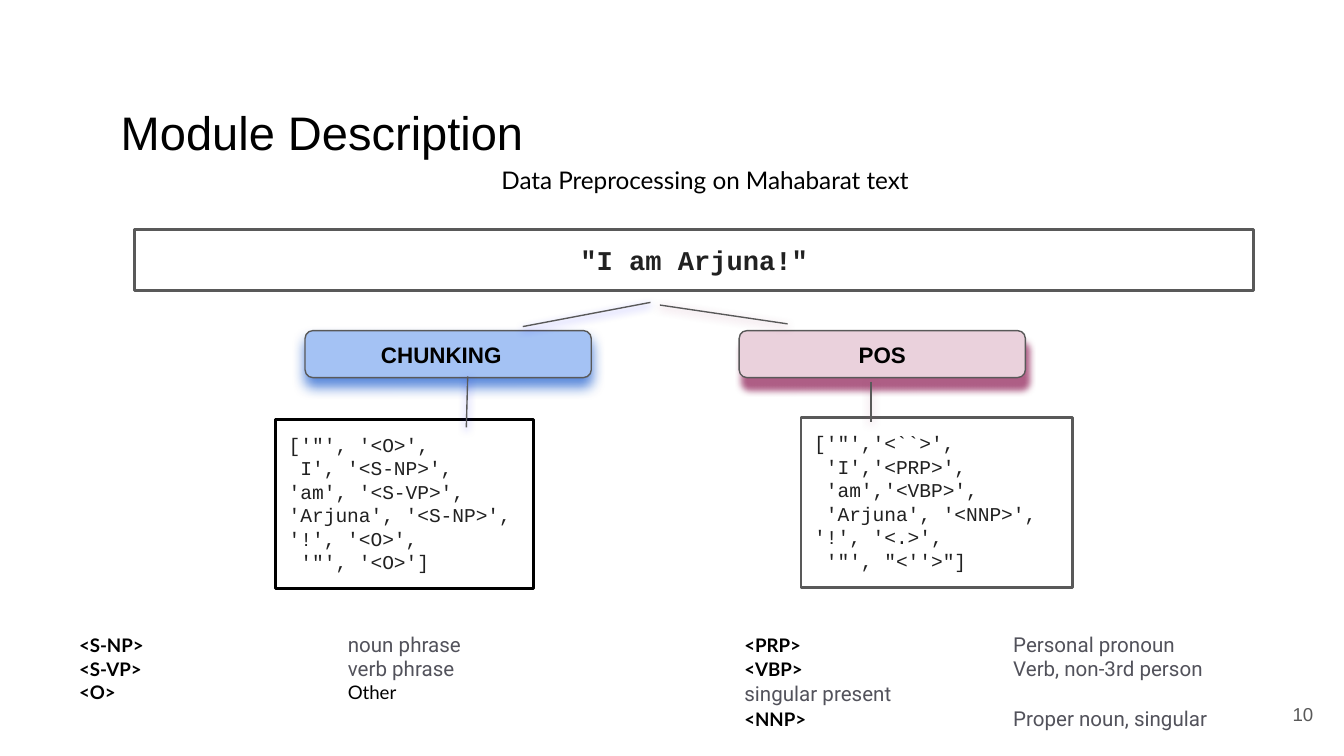
import pptx
import pptx.util
import pptx.dml.color
import pptx.enum.shapes
import pptx.enum.text
from lxml import etree
from pptx.oxml.ns import qn

Inches, Pt = pptx.util.Inches, pptx.util.Pt
RGB = pptx.dml.color.RGBColor
Kind = pptx.enum.shapes.MSO_SHAPE
Align = pptx.enum.text.PP_ALIGN
Anchor = pptx.enum.text.MSO_ANCHOR

BLACK = RGB(0x00, 0x00, 0x00)
INK = RGB(0x21, 0x21, 0x21)
GRAY = RGB(0x59, 0x59, 0x59)
SLATE = RGB(0x52, 0x52, 0x5B)
SKY = RGB(0xA4, 0xC2, 0xF4)
PINK = RGB(0xEA, 0xD1, 0xDC)
ROYAL = RGB(0x11, 0x55, 0xCC)
BLUE = RGB(0x00, 0x00, 0xFF)
PLUM = RGB(0xA6, 0x4D, 0x79)

CHUNKS = ["['\"', '<O>',", " I', '<S-NP>',", "'am', '<S-VP>',",
          "'Arjuna', '<S-NP>', '!', '<O>',", " '\"', '<O>']"]
TAGS = ["['\"','<``>',", " 'I','<PRP>',", " 'am','<VBP>',",
        " 'Arjuna', '<NNP>',", "'!', '<.>',", " '\"', \"<''>\"]"]


def style(font, name, size, color, bold=False):
    font.name, font.size, font.bold = name, Pt(size), bold
    font.color.rgb = color


def shade(shape, color, alpha, blur, dist, angle):
    """Give the shape an outer shadow; alpha in percent, lengths in points."""
    props = shape._element.spPr
    for old in props.findall(qn("a:effectLst")):
        props.remove(old)
    effects = etree.SubElement(props, qn("a:effectLst"))
    outer = etree.SubElement(effects, qn("a:outerShdw"), blurRad=str(Pt(blur)),
                             dist=str(Pt(dist)), dir=str(angle * 60000),
                             algn="bl", rotWithShape="0")
    tint = etree.SubElement(outer, qn("a:srgbClr"), val=str(color))
    etree.SubElement(tint, qn("a:alpha"), val=str(alpha * 1000))


def set_tabs(para, *stops):
    tabs = etree.SubElement(para._p.get_or_add_pPr(), qn("a:tabLst"))
    for stop in stops:
        etree.SubElement(tabs, qn("a:tab"), pos=str(Inches(stop)), algn="l")


def set_frame(shape, anchor=Anchor.TOP):
    frame = shape.text_frame
    frame.word_wrap = True
    frame.vertical_anchor = anchor
    frame.margin_left = frame.margin_right = Inches(0.1)
    frame.margin_top = frame.margin_bottom = Inches(0.1)
    return frame


def write(frame, lines, font, align=Align.LEFT):
    for i, line in enumerate(lines):
        para = frame.add_paragraph() if i else frame.paragraphs[0]
        para.text = line
        para.alignment = align
        style(para.font, *font)


def add_text(slide, box, text, font, align=Align.LEFT, anchor=Anchor.TOP):
    shape = slide.shapes.add_textbox(*map(Inches, box))
    write(set_frame(shape, anchor), [text], font, align)


def add_box(slide, box, lines, font, edge, align=Align.LEFT):
    shape = slide.shapes.add_shape(Kind.RECTANGLE, *map(Inches, box))
    shape.shadow.inherit = False
    shape.fill.background()
    shape.line.color.rgb = edge
    shape.line.width = Pt(1.5)
    write(set_frame(shape), lines, font, align)


def add_label(slide, left, text, fill, shadow):
    shape = slide.shapes.add_shape(Kind.ROUNDED_RECTANGLE, Inches(left),
                                   Inches(2.46), Inches(2.13), Inches(0.35))
    shape.fill.solid()
    shape.fill.fore_color.rgb = fill
    shape.line.color.rgb = GRAY
    shape.line.width = Pt(0.75)
    shade(shape, *shadow)
    frame = set_frame(shape, Anchor.MIDDLE)
    write(frame, [text], ("Arial", 12, BLACK, True), Align.CENTER)
    set_tabs(frame.paragraphs[0], 1)


def add_line(slide, ends, glow):
    line = slide.shapes.add_connector(pptx.enum.shapes.MSO_CONNECTOR.STRAIGHT,
                                      *map(Inches, ends))
    line.line.color.rgb = GRAY
    line.line.width = Pt(0.75)
    shade(line, glow, 50, 4.5, 1.5, 90)


def add_legend(slide, box, rows):
    frame = set_frame(slide.shapes.add_textbox(*map(Inches, box)))
    for i, (tag, sense, font) in enumerate(rows):
        para = frame.add_paragraph() if i else frame.paragraphs[0]
        set_tabs(para, 1, 2)
        key = para.add_run()
        key.text = tag + "\t\t"
        style(key.font, "Lato", 10, BLACK, True)
        note = para.add_run()
        note.text = sense
        style(note.font, *font)


def main():
    deck = pptx.Presentation()
    deck.slide_width = Inches(10)
    deck.slide_height = Inches(10 * 9 / 16)
    slide = deck.slides.add_slide(deck.slide_layouts[6])

    add_text(slide, (0.8, 0.67, 8.41, 0.59), "Module Description",
             ("Arial", 25.2, BLACK))
    add_text(slide, (2.86, 1.13, 4.77, 0.42),
             "Data Preprocessing on Mahabarat text",
             ("Lato", 13, BLACK), Align.CENTER)

    code = ("Courier New", 10.5, INK)
    add_box(slide, (1, 1.71, 8.33, 0.45), ['"I am Arjuna!"'],
            ("Courier New", 14.5, INK, True), GRAY, Align.CENTER)
    add_box(slide, (2.05, 3.12, 1.92, 1.26), CHUNKS, code, BLACK)
    add_box(slide, (5.96, 3.11, 2.02, 1.26), TAGS, code, GRAY)

    add_label(slide, 2.27, "CHUNKING\t", SKY, (ROYAL, 70, 6.8, 4.5, 90))
    add_label(slide, 5.5, "POS", PINK, (PLUM, 90, 3.4, 6.8, 78))
    add_line(slide, (4.84, 2.25, 3.89, 2.43), BLUE)
    add_line(slide, (4.91, 2.27, 5.86, 2.41), PLUM)
    add_line(slide, (3.48, 2.8, 3.47, 3.18), BLUE)
    add_line(slide, (6.48, 2.84, 6.48, 3.14), PLUM)

    soft = ("Roboto", 11, SLATE)
    add_legend(slide, (0.49, 4.6, 3.6, 0.74),
               [("<S-NP>", "noun phrase", soft),
                ("<S-VP>", "verb phrase", soft),
                ("<O>", "Other", ("Lato", 10, BLACK))])
    add_legend(slide, (5.44, 4.6, 4.05, 0.93),
               [("<PRP>", "Personal pronoun", soft),
                ("<VBP>", "Verb, non-3rd person singular present", soft),
                ("<NNP>", "Proper noun, singular", soft)])
    add_text(slide, (9.27, 5.1, 0.6, 0.43), "10", ("Arial", 10, GRAY),
             Align.RIGHT, Anchor.MIDDLE)
    deck.save("out.pptx")


if __name__ == "__main__":
    main()
